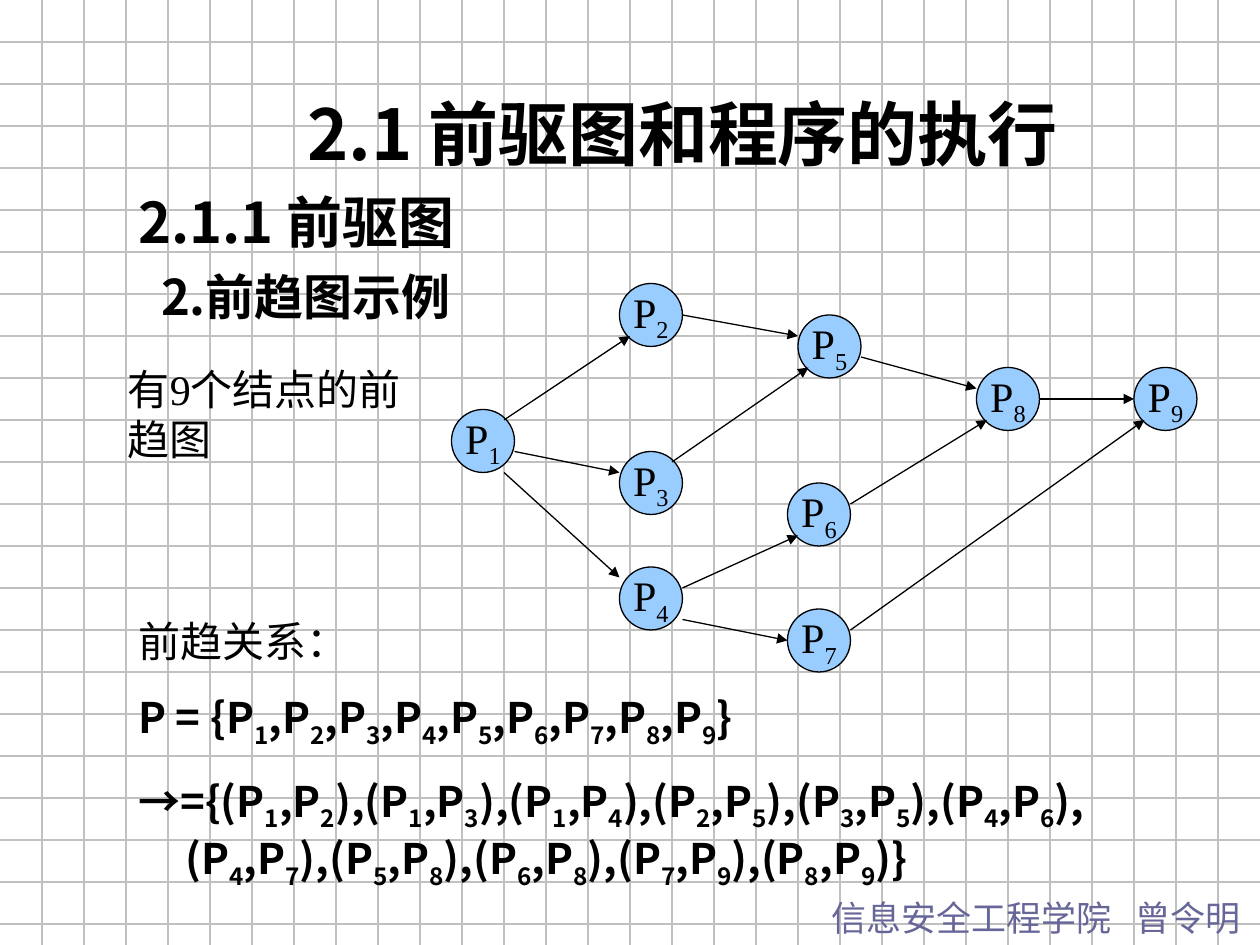
from itertools import groupby

from lxml import etree
from pptx import Presentation
from pptx.dml.color import RGBColor
from pptx.enum.shapes import MSO_CONNECTOR, MSO_SHAPE
from pptx.enum.text import MSO_ANCHOR, PP_ALIGN
from pptx.oxml.ns import qn
from pptx.util import Pt

LINE, OVAL = MSO_CONNECTOR.STRAIGHT, MSO_SHAPE.OVAL
LEFT, MID, FULL = PP_ALIGN.LEFT, PP_ALIGN.CENTER, PP_ALIGN.JUSTIFY

THEME = {
    "ink": "000000", "grid": "C0C0C0", "node": "99CCFF", "foot": "666699",
    "sans": "Noto Sans CJK SC", "title": "Noto Sans CJK JP", "serif": "Times New Roman",
    "big": 40, "head": 32, "sub": 28, "body": 24, "small": 20, "rule": 0.75,
}
WIDE, HIGH, STEP = 720, 540, 24
UNIT = 6   # the graph snaps to this many points
SIZE = 6   # node width in units

# Graph: left and top of each node, then edges with both end points, in units
NODES = {1: (43, 39), 2: (59, 27), 3: (59, 43), 4: (59, 54), 5: (76, 30),
         6: (75, 46), 7: (75, 58), 8: (93, 35), 9: (108, 35)}
EDGES = {
    (1, 2): (48, 40, 60, 32), (1, 3): (49, 43, 59, 45), (1, 4): (48, 45, 59, 55),
    (2, 5): (65, 30, 76, 32), (3, 5): (64, 44, 77, 35), (4, 6): (65, 56, 76, 51),
    (4, 7): (65, 59, 75, 61), (5, 8): (82, 34, 93, 37), (6, 8): (81, 48, 94, 40),
    (7, 9): (81, 60, 109, 40), (8, 9): (99, 38, 108, 38),
}
SET = "P = {" + ",".join(f"P{n}" for n in NODES) + "}"
PAIRS = "→={" + ",".join(f"(P{a},P{b})" for a, b in EDGES) + "}"

# Text boxes: place, then paragraphs of text, size, font and options
MATH = {"bold": True, "subs": True, "align": FULL, "hang": 27, "before": 15}
BOXES = [
    ((468, 509, 252, 32), [("信息安全工程学院 曾令明", "small", "title", {"ink": "foot", "gap": 9})]),
    ((72, 96, 618, 94), [
        ("2.1.1 前驱图", "head", "sans", {"bold": True, "lines": 1.2}),
        ("2.前趋图示例", "sub", "sans", {"bold": True, "lines": 1.2, "inset": 13}),
    ]),
    ((102, 48, 576, 55), [("2.1 前驱图和程序的执行", "big", "title", {"bold": True, "align": MID})]),
    ((72, 348, 606, 174), [
        ("前趋关系：", "body", "serif", {}),
        (SET, "body", "sans", MATH),
        (PAIRS, "body", "sans", MATH),
    ]),
    ((66, 204, 174, 65), [("有9个结点的前趋图", "body", "serif", {})]),
]


def color(key):
    return RGBColor.from_string(THEME[key])


def write(para, text, size, face, ink="ink", bold=False, subs=False, align=LEFT,
          hang=0, inset=0, before=0, lines=None, gap=0):
    para.alignment = align
    para.space_before = Pt(before)
    if lines:
        para.line_spacing = lines
    props = para._p.get_or_add_pPr()
    props.set("marL", str(Pt(hang + inset)))
    props.set("indent", str(Pt(-hang)))
    font = para.font
    font.size, font.bold = Pt(THEME[size]), bold
    font.color.rgb = color(ink)
    font.name = THEME[face]
    east = THEME["title" if face == "title" else "sans"]
    etree.SubElement(props.find(qn("a:defRPr")), qn("a:ea"), typeface=east)

    # Digits become subscripts in formulas; a gap widens the word space
    def kind(char):
        return (subs and char.isdigit(), gap > 0 and char == " ")

    for (low, space), part in groupby(text, kind):
        run = para.add_run()
        run.text = "".join(part)
        if low:
            run._r.get_or_add_rPr().set("baseline", "-25000")
        if space:
            run._r.get_or_add_rPr().set("spc", str(gap * 100))


def draw(shapes, ends, ink, arrow=False):
    line = shapes.add_connector(LINE, *map(Pt, ends))
    line.line.color.rgb = color(ink)
    line.line.width = Pt(THEME["rule"])
    props = line._element.spPr
    if arrow:
        etree.SubElement(props.find(qn("a:ln")), qn("a:tailEnd"), type="triangle")
    etree.SubElement(props, qn("a:effectLst"))


def main():
    deck = Presentation()
    deck.slide_width, deck.slide_height = Pt(WIDE), Pt(HIGH)
    shapes = deck.slides.add_slide(deck.slide_layouts[6]).shapes

    # Background grid
    for y in range(STEP, HIGH, STEP):
        draw(shapes, (0, y, WIDE, y), "grid")
    for x in range(STEP, WIDE, STEP):
        draw(shapes, (x, 0, x, HIGH), "grid")

    # Graph nodes
    for num, (x, y) in NODES.items():
        node = shapes.add_shape(OVAL, *(Pt(v * UNIT) for v in (x, y, SIZE, SIZE)))
        node.shadow.inherit = False
        node.fill.solid()
        node.fill.fore_color.rgb = color("node")
        node.line.color.rgb = color("ink")
        node.line.width = Pt(THEME["rule"])
        frame = node.text_frame
        frame.word_wrap = False
        frame.vertical_anchor = MSO_ANCHOR.MIDDLE
        write(frame.paragraphs[0], f"P{num}", "body", "serif", subs=True, align=MID)

    # Graph edges
    for ends in EDGES.values():
        draw(shapes, [v * UNIT for v in ends], "ink", arrow=True)

    # Text
    for place, paras in BOXES:
        frame = shapes.add_textbox(*map(Pt, place)).text_frame
        frame.word_wrap = True
        for i, (text, size, face, opts) in enumerate(paras):
            para = frame.add_paragraph() if i else frame.paragraphs[0]
            write(para, text, size, face, **opts)

    deck.save("out.pptx")


if __name__ == "__main__":
    main()
